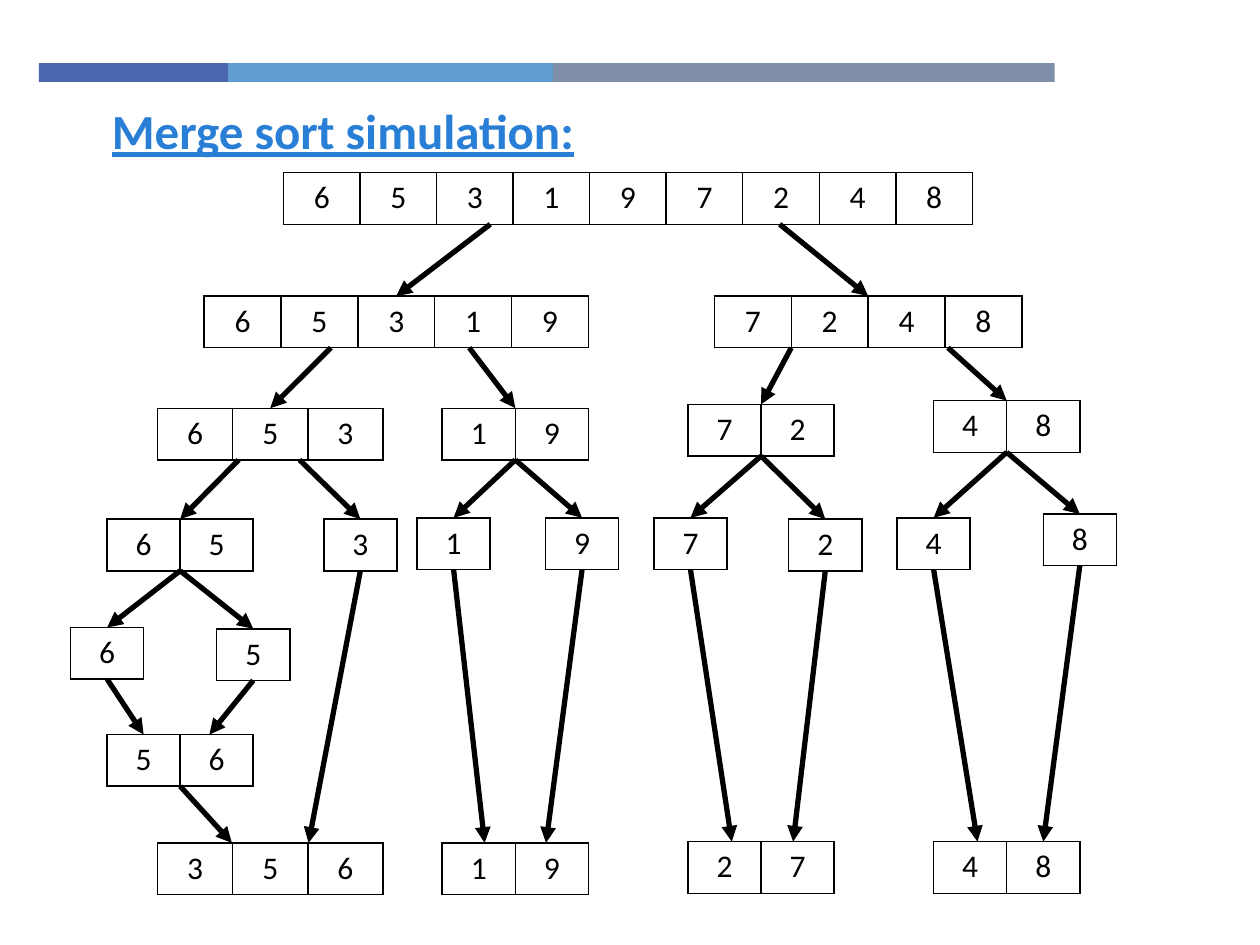
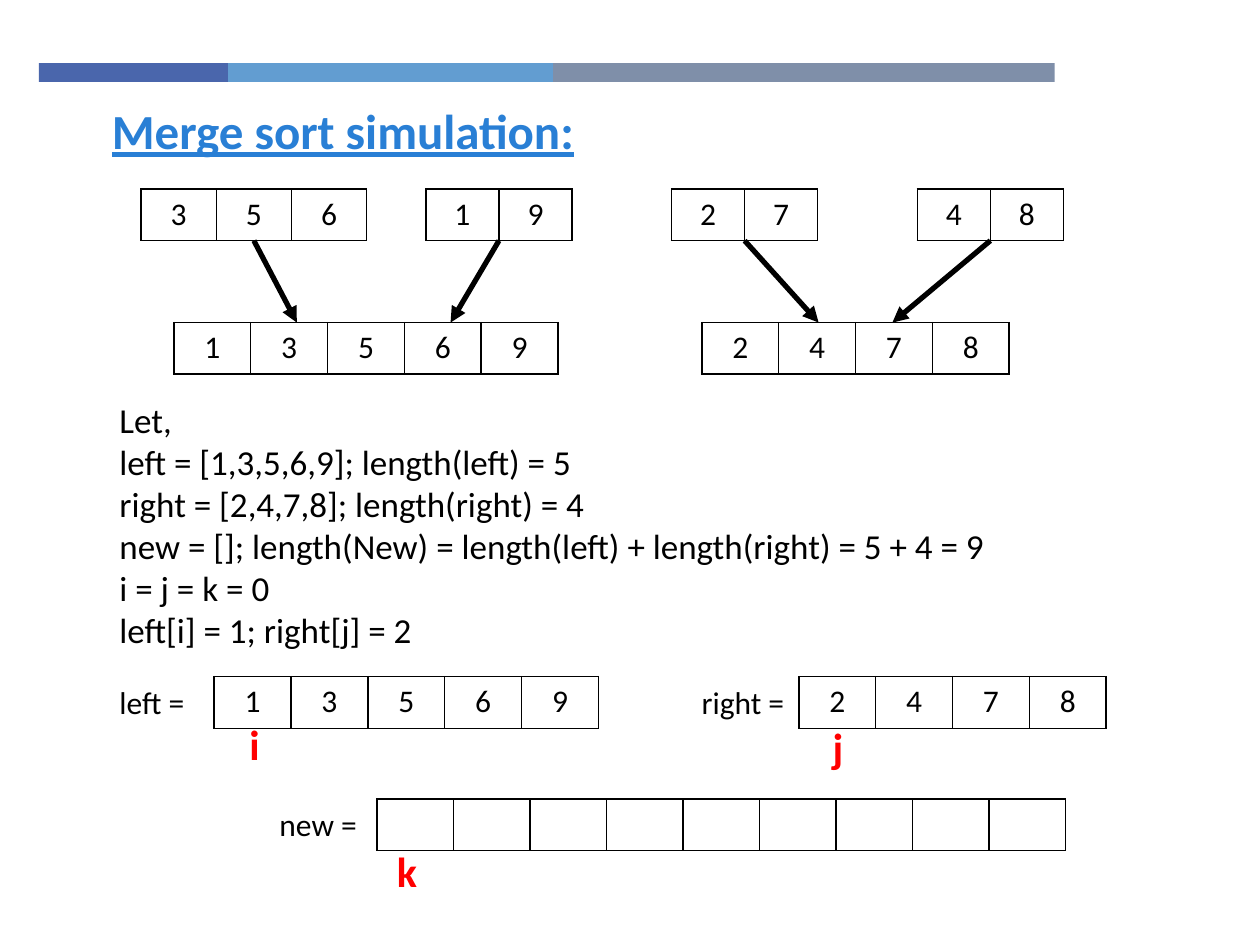
from collections import namedtuple
from dataclasses import dataclass

from lxml import etree
from pptx import Presentation
from pptx.dml.color import RGBColor
from pptx.enum.shapes import MSO_CONNECTOR, MSO_SHAPE
from pptx.enum.text import PP_ALIGN
from pptx.oxml.ns import qn
from pptx.util import Inches, Pt

LEFT, CENTER = PP_ALIGN.LEFT, PP_ALIGN.CENTER
RECT, LINE = MSO_SHAPE.RECTANGLE, MSO_CONNECTOR.STRAIGHT
Box = namedtuple("Box", "left top wide high", defaults=(0, 0))


@dataclass(frozen=True)
class Theme:
    """Colours, type sizes and line widths of the deck."""
    font: str = "Calibri"
    ink: str = "000000"
    paper: str = "FFFFFF"
    title: str = "297FD5"
    mark: str = "FF0000"
    bands: tuple = ("4A66AC", "629DD1", "7F8FA9")
    head: int = 28
    index: int = 24
    body: int = 20
    cell: int = 18
    rule: int = 1
    arrow: int = 3


THEME = Theme()
HIGH = 0.41
WIDTHS = {1: 0.58, 2: 1.16, 3: 1.79, 4: 2.44, 5: 3.05, 9: 5.47}

SPLITS = {
    "653197248": (1.69, 0),
    "65319": (1.06, 0.98), "7248": (5.11, 0.98),
    "653": (0.69, 1.87), "19": (2.95, 1.87),
    "72": (4.9, 1.84), "48": (6.85, 1.81),
    "65": (0.29, 2.75), "3": (2.01, 2.75), "1": (2.75, 2.74),
    "9": (3.77, 2.74), "7": (4.63, 2.74), "2": (5.7, 2.75),
    "4": (6.56, 2.74), "8": (7.72, 2.71),
    "6": (0, 3.61), "5": (1.16, 3.62), "56+": (0.29, 4.46),
    "356+": (0.69, 5.32), "19+": (2.95, 5.32),
    "27+": (4.9, 5.31), "48+": (6.85, 5.31),
}
SPLIT_LINKS = [
    ("653197248", "65319", 0.3, 0.5), ("653197248", "7248", 0.72, 0.5),
    ("65319", "653", 0.33, 0.5), ("65319", "19", 0.69, 0.5),
    ("7248", "72", 0.25, 0.5), ("7248", "48", 0.76, 0.5),
    ("653", "65", 0.36, 0.5), ("653", "3", 0.63, 0.5),
    ("19", "1", 0.5, 0.5), ("19", "9", 0.5, 0.5),
    ("72", "7", 0.5, 0.5), ("72", "2", 0.5, 0.5),
    ("48", "4", 0.5, 0.5), ("48", "8", 0.5, 0.5),
    ("65", "6", 0.5, 0.5), ("65", "5", 0.5, 0.5),
    ("6", "56+", 0.5, 0.25), ("5", "56+", 0.5, 0.7),
    ("56+", "356+", 0.5, 0.33), ("3", "356+", 0.5, 0.67),
    ("1", "19+", 0.5, 0.29), ("9", "19+", 0.5, 0.71),
    ("7", "27+", 0.5, 0.3), ("2", "27+", 0.5, 0.72),
    ("4", "48+", 0.5, 0.3), ("8", "48+", 0.5, 0.75),
]
MERGES = {
    "356": (0, 0), "19": (2.26, 0), "27": (4.21, 0), "48": (6.16, 0),
    "13569": (0.26, 1.06), "2478": (4.45, 1.06),
}
MERGE_LINKS = [
    ("356", "13569", 0.5, 0.32), ("19", "13569", 0.5, 0.72),
    ("27", "2478", 0.5, 0.38), ("48", "2478", 0.5, 0.62),
]
SETUP = """Let,
left = [1,3,5,6,9]; length(left) = 5
right = [2,4,7,8]; length(right) = 4
new = []; length(New) = length(left) + length(right) = 5 + 4 = 9
i = j = k = 0
left[i] = 1; right[j] = 2"""


def place(box):
    """Return the four sides of a box as lengths."""
    return [Inches(side) for side in box]


def write(frame, text, size=THEME.cell, color=THEME.ink, bold=False,
          under=False, align=LEFT):
    """Fill a text frame with one paragraph per line."""
    frame.word_wrap = True
    for count, line in enumerate(text.split("\n")):
        para = frame.add_paragraph() if count else frame.paragraphs[0]
        para.alignment = align
        run = para.add_run()
        run.text = line
        font = run.font
        font.name, font.size = THEME.font, Pt(size)
        font.bold, font.underline = bold, under
        font.color.rgb = RGBColor.from_string(color)


def label(slide, box, text, **style):
    """Add a text box."""
    write(slide.shapes.add_textbox(*place(box)).text_frame, text, **style)


def border(cell):
    """Draw a thin line on each side of a cell."""
    props = cell._tc.get_or_add_tcPr()
    for side in ("a:lnL", "a:lnR", "a:lnT", "a:lnB"):
        line = etree.SubElement(props, qn(side), w=str(Pt(THEME.rule)))
        fill = etree.SubElement(line, qn("a:solidFill"))
        etree.SubElement(fill, qn("a:srgbClr"), val=THEME.ink)


def array(slide, left, top, items):
    """Add a one-row table of items and return its box."""
    count = len(items)
    box = Box(left, top, WIDTHS[count], HIGH)
    table = slide.shapes.add_table(1, count, *place(box)).table
    table.first_row = table.horz_banding = False
    for column, cell, item in zip(table.columns, table.rows[0].cells, items):
        column.width = Inches(box.wide / count)
        border(cell)
        cell.fill.solid()
        cell.fill.fore_color.rgb = RGBColor.from_string(THEME.paper)
        if item:
            write(cell.text_frame, item, align=CENTER)
    return box


def link(slide, start, end, out, into):
    """Draw an arrow from the foot of one array to the top of another."""
    ends = (start.left + start.wide * out, start.top + start.high,
            end.left + end.wide * into, end.top)
    arrow = slide.shapes.add_connector(LINE, *place(ends))
    arrow.line.width = Pt(THEME.arrow)
    arrow.line.color.rgb = RGBColor.from_string(THEME.ink)
    etree.SubElement(arrow.line._get_or_add_ln(), qn("a:tailEnd"),
                     type="triangle")
    etree.SubElement(arrow._element.spPr, qn("a:effectLst"))


def graph(slide, box, nodes, links):
    """Place arrays by their offsets in a box and join them."""
    boxes = {key: array(slide, box.left + left, box.top + top, key.strip("+"))
             for key, (left, top) in nodes.items()}
    for start, end, out, into in links:
        link(slide, boxes[start], boxes[end], out, into)


def field(slide, box, name, items, mark, shift, drop):
    """Add a name, its array at the right end of the box, and an index."""
    label(slide, Box(box.left, box.top, 0.87, HIGH), name)
    row = array(slide, box.left + box.wide - WIDTHS[len(items)],
                box.top, items)
    label(slide, Box(row.left + shift, row.top + drop, 0.38, 0.5), mark,
          size=THEME.index, color=THEME.mark, bold=True, align=CENTER)


def bands(slide, box):
    """Draw the three colour bands across a box."""
    left = box.left
    for color, wide in zip(THEME.bands, (1.5, 2.58, 3.98)):
        band = slide.shapes.add_shape(
            RECT, *place(Box(left, box.top, wide, box.high)))
        band.shadow.inherit = False
        band.fill.solid()
        band.fill.fore_color.rgb = RGBColor.from_string(color)
        band.line.fill.background()
        left += wide


def base(deck):
    """Add a slide with the bands and the title."""
    slide = deck.slides.add_slide(deck.slide_layouts[6])
    bands(slide, Box(0.31, 0.5, 8.06, 0.15))
    label(slide, Box(0.79, 0.75, 8.24, 0.57), "Merge sort simulation:",
          size=THEME.head, color=THEME.title, bold=True, under=True)
    return slide


def split(deck):
    """Build the slide that splits the list and starts to merge."""
    graph(base(deck), Box(0.56, 1.37), SPLITS, SPLIT_LINKS)


def merge(deck):
    """Build the slide that merges the halves and sets the indexes."""
    slide = base(deck)
    graph(slide, Box(1.12, 1.5), MERGES, MERGE_LINKS)
    label(slide, Box(0.85, 3.11, 8.16, 2.73), SETUP, size=THEME.body)
    field(slide, Box(0.85, 5.37, 3.9), "left =", "13569", "i", 0.13, 0.28)
    field(slide, Box(5.47, 5.37, 3.31), "right =", "2478", "j", 0.12, 0.31)
    field(slide, Box(2.12, 6.34, 6.34), "new =", [""] * 9, "k", 0.05, 0.32)


def main():
    """Build and save the deck."""
    deck = Presentation()
    deck.slide_width, deck.slide_height = Inches(10), Inches(7.5)
    split(deck)
    merge(deck)
    deck.save("out.pptx")


if __name__ == "__main__":
    main()
